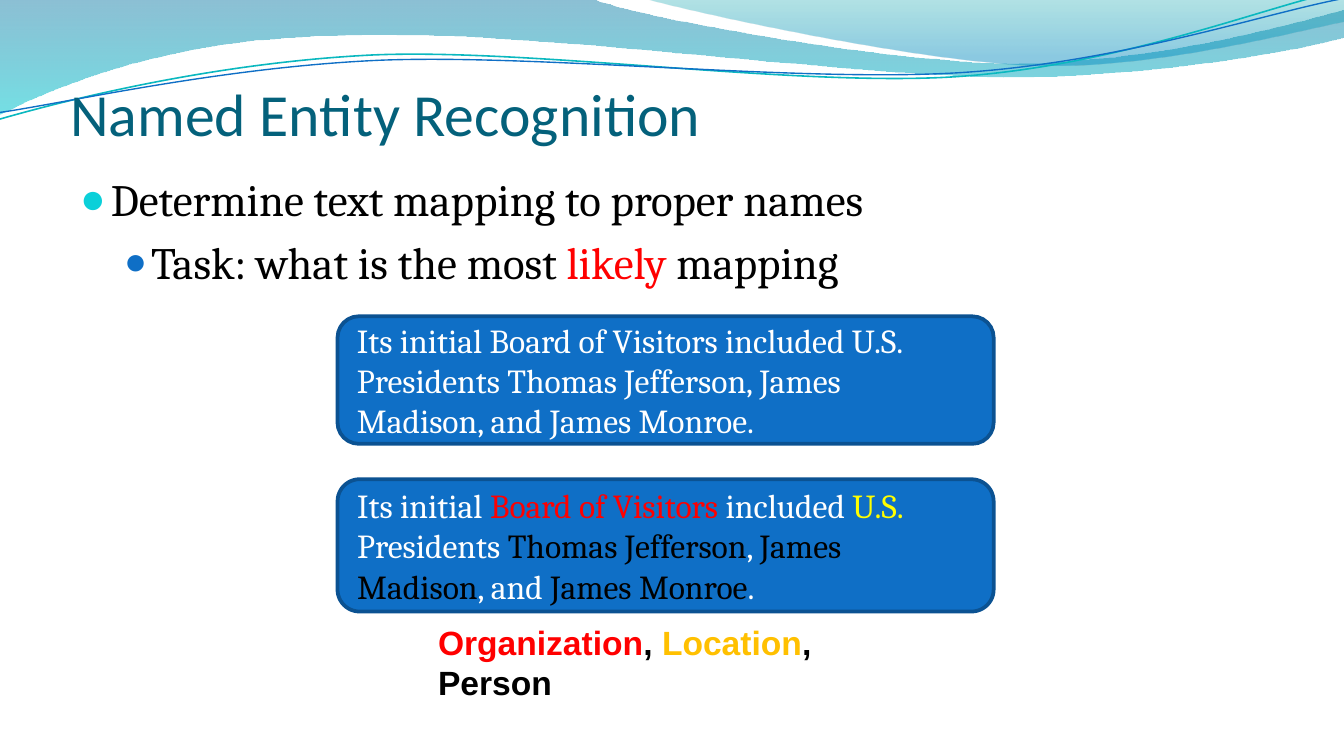
from lxml.etree import SubElement
from pptx import Presentation
from pptx.dml.color import RGBColor
from pptx.enum.shapes import MSO_SHAPE as Preset
from pptx.enum.text import MSO_ANCHOR as Anchor, MSO_AUTO_SIZE as AutoSize, PP_ALIGN as Align
from pptx.oxml.ns import qn
from pptx.util import Cm, Pt

BLACK, WHITE, RED = "000000", "FFFFFF", "FF0000"
YELLOW, GOLD = "FFFF00", "FFC000"
BLUE, DARK_BLUE, TEAL, CYAN = "0F6FC6", "0B5292", "0AB8BF", "0BD0D9"

# Outlines in cm: a start point, then lines (one point) and Bézier curves (three points).
LEFT_WAVE = [
    (0, 0), [(11.18, -0.03)],
    [(12.09, 0.33), (16.87, 1.19), (19.25, 1.19)],
    [(21.67, 1.19), (24.33, 0.48), (25.4, 0.18)],
    [(25.43, 0.69)],
    [(24.97, 0.84), (22.1, 1.45), (18.95, 1.45)],
    [(15.8, 1.42), (9.7, 0.53), (6.53, 0.66)],
    [(3.28, 0.69), (1.17, 1.57), (-0.03, 2.16)],
    [(0, 0)],
]
RIGHT_WAVE = [
    (12.17, -0.03),
    [(12.93, 0.2), (17.32, 1.17), (19.53, 1.24)],
    [(21.74, 1.32), (24.41, 0.61), (25.4, 0.41)],
    [(25.4, 0)], [(12.17, -0.03)],
]
TEAL_RIPPLE = [
    (-0.03, 2.26),
    [(1.22, 1.9), (4.01, 1.19), (7.04, 1.04)],
    [(10.06, 0.91), (15.04, 1.65), (18.08, 1.45)],
    [(21.16, 1.24), (23.85, 0.15), (25.35, -0.18)],
]
BLUE_RIPPLE = [
    (-0.03, 2.13),
    [(1.19, 1.96), (4.17, 1.27), (7.19, 1.14)],
    [(10.24, 1.02), (15.16, 1.57), (18.21, 1.37)],
    [(21.23, 1.17), (23.9, 0.25), (25.4, -0.03)],
]

SENTENCE = ("Its initial Board of Visitors included U.S. Presidents "
            "Thomas Jefferson, James Madison, and James Monroe.")
TAGGED_SENTENCE = [
    ("Its initial ", WHITE), ("Board of Visitors ", RED), ("included ", WHITE),
    ("U.S.", YELLOW), (" Presidents ", WHITE), ("Thomas Jefferson", BLACK),
    (", ", WHITE), ("James Madison", BLACK), (", and ", WHITE),
    ("James Monroe", BLACK), (".", WHITE),
]


def rgb(hex_color):
    return RGBColor.from_string(hex_color)


def write(paragraph, pieces, font="Cambria", size=18, bold=False, align=Align.LEFT):
    """Fill a paragraph with (text, colour) pieces in one format."""
    paragraph.alignment = align
    for text, color in pieces:
        run = paragraph.add_run()
        run.text = text
        run.font.name, run.font.size, run.font.bold = font, Pt(size), bold
        run.font.color.rgb = rgb(color)


def place(item, left, top, width, height):
    item.left, item.top, item.width, item.height = map(Cm, (left, top, width, height))


def set_bullet(paragraph, color, percent, margin, hanging):
    props = paragraph._p.get_or_add_pPr()
    props.set("marL", str(Cm(margin)))
    props.set("indent", str(-Cm(hanging)))
    SubElement(SubElement(props, qn("a:buClr")), qn("a:srgbClr"), val=color)
    SubElement(props, qn("a:buSzPct"), val=str(percent * 1000))
    SubElement(props, qn("a:buFont"), typeface="Arial")
    SubElement(props, qn("a:buChar"), char="●")


def bend(freeform, segments):
    """Merge each three straight steps that stand for a curve into one Bézier."""
    steps = iter(list(freeform._element.spPr.iter(qn("a:lnTo"))))
    for segment in segments:
        first, *others = [next(steps) for _ in segment]
        if others:
            first.tag = qn("a:cubicBezTo")
            for other in others:
                first.append(other[0])
                other.getparent().remove(other)


def add_outline(slide, outline, close):
    (left, top), *segments = outline
    builder = slide.shapes.build_freeform(Cm(left), Cm(top))
    builder.add_line_segments([(Cm(x), Cm(y)) for segment in segments for x, y in segment],
                              close=close)
    freeform = builder.convert_to_shape()
    bend(freeform, segments)
    freeform.shadow.inherit = False
    return freeform


def add_wave(slide, outline, stops):
    """Add a top-to-bottom gradient area; stops are (position, colour, opacity %)."""
    wave = add_outline(slide, outline, close=True)
    wave.line.fill.background()
    wave.fill.gradient()
    wave.fill.gradient_angle = 270
    for stop, (position, color, _) in zip(wave.fill.gradient_stops, stops):
        stop.position = position
        stop.color.rgb = rgb(color)
    for tint, (_, _, opacity) in zip(wave._element.spPr.iter(qn("a:srgbClr")), stops):
        SubElement(tint, qn("a:alpha"), val=str(opacity * 1000))


def add_ripple(slide, outline, color, width):
    ripple = add_outline(slide, outline, close=False)
    ripple.fill.background()
    ripple.line.color.rgb = rgb(color)
    ripple.line.width = Pt(width)


def bring_to_front(slide, placeholder):
    slide.shapes._spTree.append(placeholder._element)


def fill_title(slide):
    title = slide.shapes.title
    bring_to_front(slide, title)
    place(title, 1.33, 0.42, 22.86, 2.38)
    frame = title.text_frame
    frame.auto_size = AutoSize.NONE
    frame.vertical_anchor = Anchor.BOTTOM
    frame.margin_left = frame.margin_right = frame.margin_bottom = 0
    write(frame.paragraphs[0], [("Named Entity Recognition", "04617B")],
          font="Calibri", size=32)


def fill_body(slide):
    body = slide.placeholders[1]
    bring_to_front(slide, body)
    place(body, 1.26, 3.12, 22.86, 10.06)
    frame = body.text_frame
    frame.auto_size = AutoSize.NONE
    topic, task = frame.paragraphs[0], frame.add_paragraph()
    task.level = 1
    for paragraph in (topic, task):
        paragraph.space_before = Pt(4.8)
    set_bullet(topic, CYAN, 95, margin=0.58, hanging=0.58)
    set_bullet(task, BLUE, 85, margin=1.34, hanging=0.51)
    write(topic, [("Determine text mapping to proper names", BLACK)], size=24)
    write(task, [("Task: what is the most ", BLACK), ("likely", RED), (" mapping", BLACK)],
          size=24)


def add_sentence_box(slide, top, height, pieces):
    box = slide.shapes.add_shape(Preset.ROUNDED_RECTANGLE,
                                 Cm(6.38), Cm(top), Cm(12.4), Cm(height))
    box.shadow.inherit = False
    box.fill.solid()
    box.fill.fore_color.rgb = rgb(BLUE)
    box.line.color.rgb = rgb(DARK_BLUE)
    box.line.width = Pt(2)
    box.text_frame.word_wrap = True
    box.text_frame.vertical_anchor = Anchor.MIDDLE
    write(box.text_frame.paragraphs[0], pieces)


def add_legend(slide):
    legend = slide.shapes.add_textbox(Cm(8.03), Cm(11.63), Cm(9.12), Cm(1.8))
    legend.text_frame.word_wrap = True
    legend.text_frame.auto_size = AutoSize.SHAPE_TO_FIT_TEXT
    write(legend.text_frame.paragraphs[0],
          [("Organization", RED), (", ", BLACK), ("Location", GOLD), (", Person", BLACK)],
          font="Arial", bold=True)


def main():
    deck = Presentation()
    deck.slide_width, deck.slide_height = Cm(25.4), Cm(14.29)
    slide = deck.slides.add_slide(deck.slide_layouts[1])
    add_wave(slide, LEFT_WAVE, [(0, "0074A1", 45), (1, "00C6CF", 55)])
    add_wave(slide, RIGHT_WAVE, [(0, "00A1A9", 30), (0.8, "008BBF", 45)])
    add_ripple(slide, TEAL_RIPPLE, TEAL, 0.85)
    add_ripple(slide, BLUE_RIPPLE, BLUE, 0.75)
    fill_title(slide)
    fill_body(slide)
    add_sentence_box(slide, 5.98, 2.41, [(SENTENCE, WHITE)])
    add_sentence_box(slide, 9.06, 2.5, TAGGED_SENTENCE)
    add_legend(slide)
    deck.save("out.pptx")


if __name__ == "__main__":
    main()
